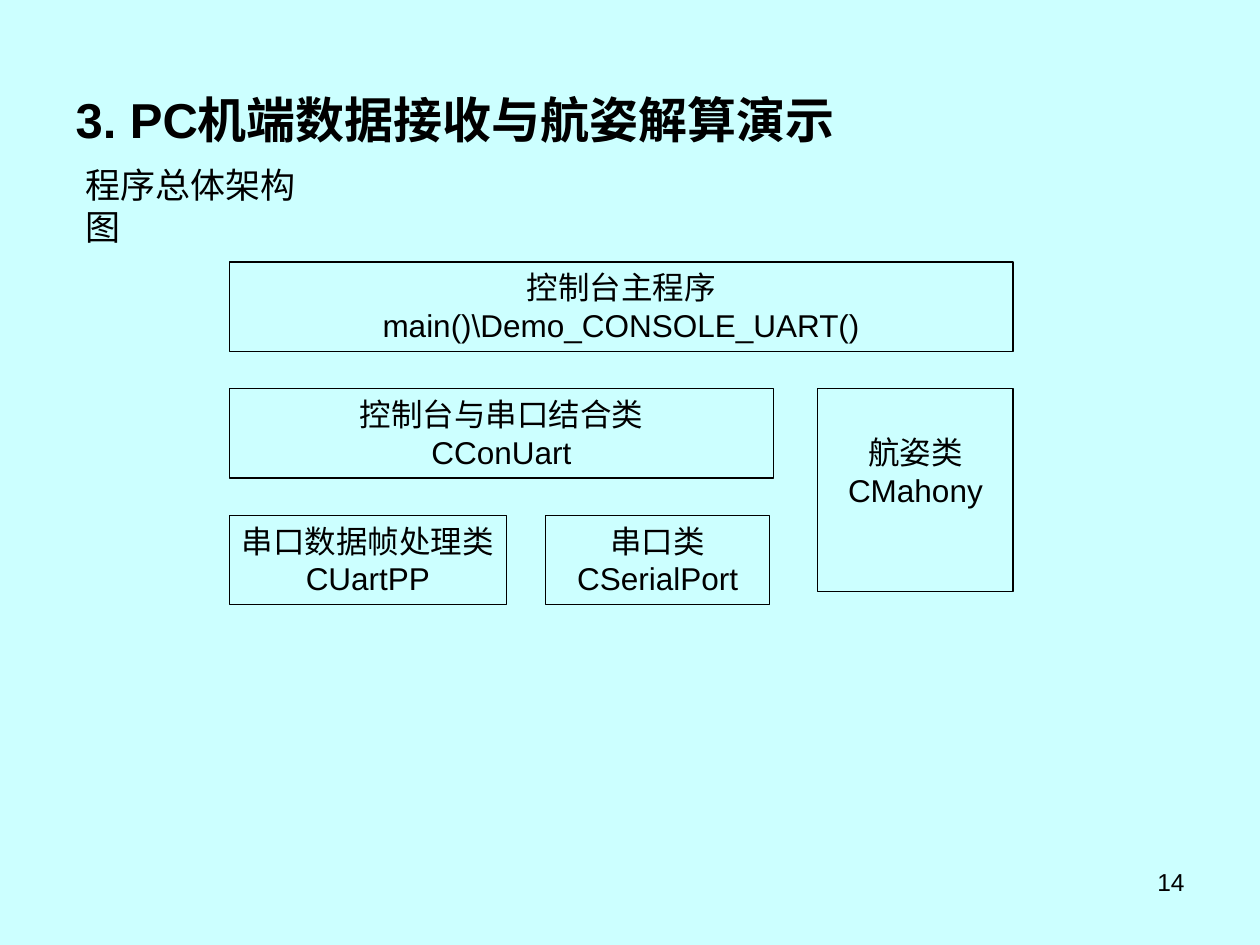
from pptx import Presentation
from pptx.dml.color import RGBColor
from pptx.enum.shapes import MSO_SHAPE
from pptx.enum.text import MSO_ANCHOR, MSO_AUTO_SIZE, PP_ALIGN
from pptx.util import Inches, Pt

BACKGROUND = RGBColor(0xCC, 0xFF, 0xFF)
BLACK = RGBColor(0, 0, 0)
FONT = "Arial"
ROW_HEIGHT = 0.71
MODULES = [
    (0, 0, 6.22, ROW_HEIGHT, ["控制台主程序", "main()\\Demo_CONSOLE_UART()"]),
    (0, 1, 4.32, ROW_HEIGHT, ["控制台与串口结合类", "CConUart"]),
    (0, 2, 2.2, ROW_HEIGHT, ["串口数据帧处理类", "CUartPP"]),
    (2.51, 2, 1.78, ROW_HEIGHT, ["串口类", "CSerialPort"]),
    (4.67, 1, 1.55, 1.61, ["航姿类", "CMahony"]),
]


def write_lines(frame, lines, size, align=PP_ALIGN.LEFT, bold=False):
    """Write one formatted paragraph for each line."""
    for index, line in enumerate(lines):
        para = frame.add_paragraph() if index else frame.paragraphs[0]
        para.alignment = align
        span = para.add_run()
        span.text = line
        span.font.name = FONT
        span.font.size = Pt(size)
        span.font.bold = bold
        span.font.color.rgb = BLACK


def add_title(page, box, text):
    """Place the title placeholder in the given box."""
    title = page.shapes.title
    title.left, title.top, title.width, title.height = map(Inches, box)
    frame = title.text_frame
    frame.auto_size = MSO_AUTO_SIZE.NONE
    frame.vertical_anchor = MSO_ANCHOR.MIDDLE
    write_lines(frame, [text], 28, bold=True)


def add_label(page, box, text, size, align=PP_ALIGN.LEFT):
    """Place a plain line of text in the given box."""
    frame = page.shapes.add_textbox(*map(Inches, box)).text_frame
    frame.word_wrap = True
    write_lines(frame, [text], size, align)


def add_module(page, box, lines):
    """Draw an outlined module with its name and class."""
    module = page.shapes.add_shape(MSO_SHAPE.RECTANGLE, *map(Inches, box))
    module.shadow.inherit = False
    module.fill.background()
    module.line.color.rgb = BLACK
    module.line.width = Pt(0.75)
    frame = module.text_frame
    frame.word_wrap = False
    frame.vertical_anchor = MSO_ANCHOR.TOP
    frame.margin_top = Inches(0.35 if box[3] > ROW_HEIGHT else 0.05)
    write_lines(frame, lines, 18, PP_ALIGN.CENTER)


def add_architecture(page, box):
    """Lay out the modules on three equally spaced rows."""
    left, top, width, height = box
    pitch = (height - ROW_HEIGHT) / 2
    scale = width / 6.22
    for offset, row, module_width, module_height, lines in MODULES:
        add_module(page, (left + offset * scale, top + row * pitch,
                          module_width * scale, module_height), lines)


def main():
    """Build and save the deck."""
    deck = Presentation()
    deck.slide_width, deck.slide_height = Inches(10), Inches(7.5)
    page = deck.slides.add_slide(deck.slide_layouts[5])
    page.background.fill.solid()
    page.background.fill.fore_color.rgb = BACKGROUND
    add_title(page, (0.5, 0.55, 6.54, 0.78), "3. PC机端数据接收与航姿解算演示")
    add_label(page, (0.58, 1.25, 2.14, 0.44), "程序总体架构图", 20)
    add_architecture(page, (1.82, 2.08, 6.22, 2.72))
    add_label(page, (7.17, 6.83, 2.33, 0.52), "14", 14, PP_ALIGN.RIGHT)
    deck.save("out.pptx")


if __name__ == "__main__":
    main()
